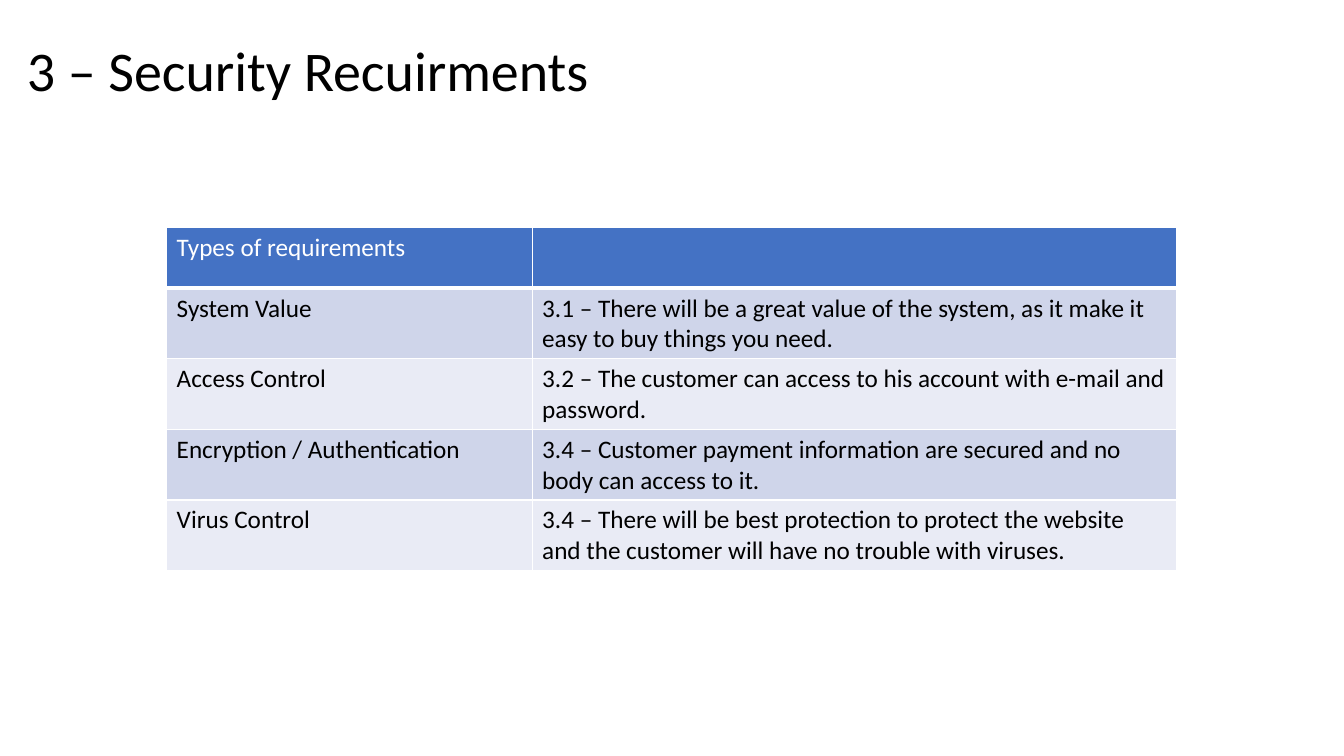
from lxml import etree
from pptx import Presentation
from pptx import util as u
from pptx.dml.color import RGBColor
from pptx.enum import text
from pptx.oxml import ns

BLACK = RGBColor(0x00, 0x00, 0x00)
WHITE = RGBColor(0xFF, 0xFF, 0xFF)
BLUE = RGBColor(0x44, 0x72, 0xC4)
BANDS = [RGBColor(0xCF, 0xD5, 0xEA), RGBColor(0xE9, 0xEB, 0xF5)]

REQUIREMENTS = [
    ("Types of requirements", ""),
    ("System Value",
     "3.1 – There will be a great value of the system, as it make it easy to buy things you need."),
    ("Access Control",
     "3.2 – The customer can access to his account with e-mail and password."),
    ("Encryption / Authentication",
     "3.4 – Customer payment information are secured and no body can access to it."),
    ("Virus Control",
     "3.4 – There will be best protection to protect the website "
     "and the customer will have no trouble with viruses."),
]


class SlideWriter:
    font = "Calibri"
    title_size = u.Pt(40)
    table_size = u.Pt(18)

    def __init__(self, page):
        self.page = page

    def add_span(self, para, words, size, color):
        span = para.add_run()
        span.text = words
        span.font.name = self.font
        span.font.size = size
        span.font.bold = False
        span.font.color.rgb = color

    def add_title(self, words, left, top, width, height):
        box = self.page.shapes.add_textbox(left, top, width, height)
        frame = box.text_frame
        frame.word_wrap = True
        frame.vertical_anchor = text.MSO_ANCHOR.MIDDLE
        para = frame.paragraphs[0]
        para.line_spacing = 0.9
        self.add_span(para, words, self.title_size, BLACK)

    def add_borders(self, cell, bottom):
        properties = cell._tc.get_or_add_tcPr()
        for side, points in (("L", 1), ("R", 1), ("T", 1), ("B", bottom)):
            line = etree.SubElement(properties, ns.qn(f"a:ln{side}"), w=str(u.Pt(points)))
            fill = etree.SubElement(line, ns.qn("a:solidFill"))
            etree.SubElement(fill, ns.qn("a:srgbClr"), val=str(WHITE))

    def add_table(self, rows, left, top, widths, row_height):
        frame = self.page.shapes.add_table(
            len(rows), len(widths), left, top, sum(widths), row_height * len(rows))
        table = frame.table
        for column, width in zip(table.columns, widths):
            column.width = width
        for row_index, row in enumerate(rows):
            header = row_index == 0
            for column_index, words in enumerate(row):
                cell = table.cell(row_index, column_index)
                self.add_borders(cell, 3 if header else 1)
                cell.fill.solid()
                cell.fill.fore_color.rgb = BLUE if header else BANDS[(row_index - 1) % 2]
                if words:
                    self.add_span(cell.text_frame.paragraphs[0], words,
                                  self.table_size, WHITE if header else BLACK)


def main():
    deck = Presentation()
    deck.slide_width = u.Cm(33.87)
    deck.slide_height = u.Cm(19.05)
    writer = SlideWriter(deck.slides.add_slide(deck.slide_layouts[6]))
    writer.add_title("3 – Security Recuirments", u.Cm(0.43), u.Cm(0), u.Cm(29.21), u.Cm(3.68))
    writer.add_table(REQUIREMENTS, u.Cm(4.2), u.Cm(5.74), [u.Cm(9.21), u.Cm(16.25)], u.Cm(1.52))
    deck.save("out.pptx")


if __name__ == "__main__":
    main()
